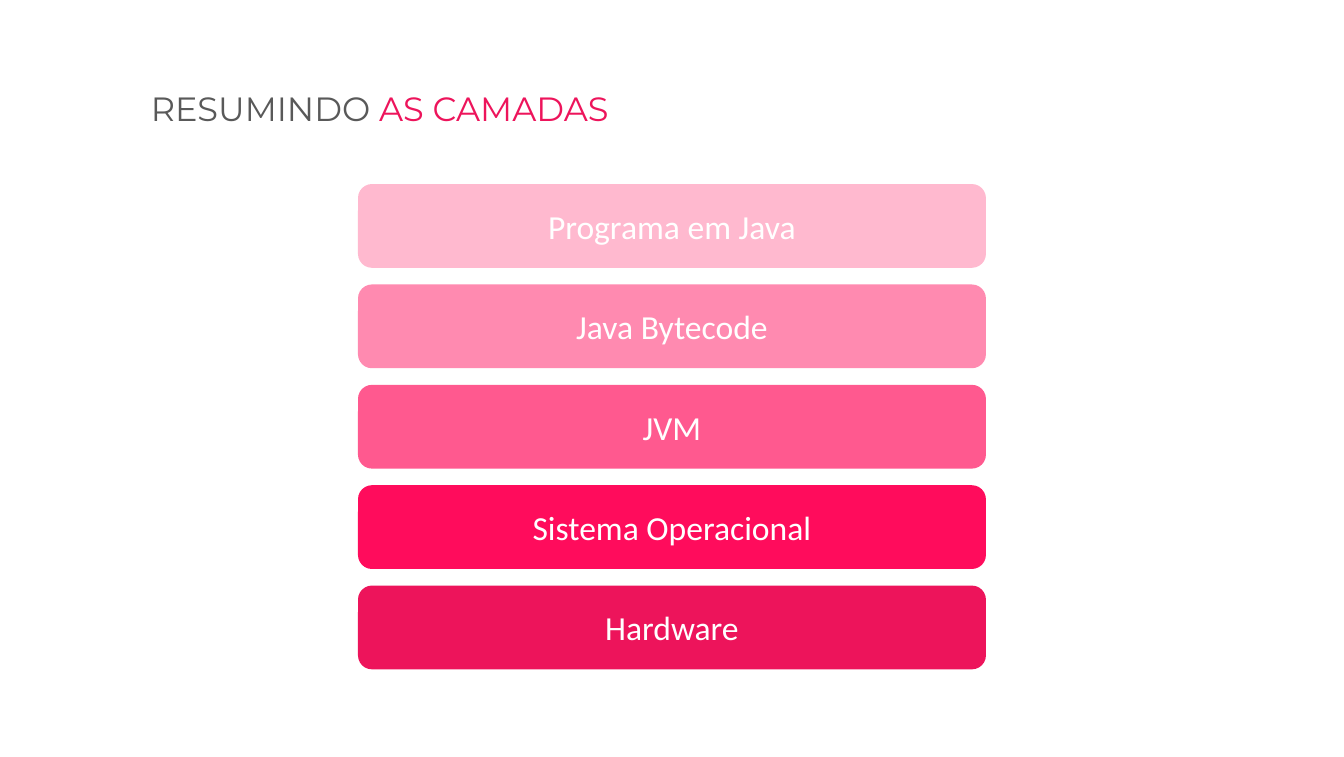
from dataclasses import dataclass

from pptx import Presentation
from pptx.dml.color import RGBColor
from pptx.enum import shapes, text
from pptx.util import Pt

WHITE, GRAY, PINK = "FFFFFF", "595959", "ED145B"
LEFT, TOP, WIDTH, HEIGHT, PITCH = 191.8, 98.6, 336.4, 44.85, 53.75


@dataclass
class Layer:
    label: str
    fill: str


LAYERS = [
    Layer("Programa em Java", "FFB9CF"),
    Layer("Java Bytecode", "FF8AB0"),
    Layer("JVM", "FF598F"),
    Layer("Sistema Operacional", "FF0C5C"),
    Layer("Hardware", PINK),
]


def rgb(color: str) -> RGBColor:
    return RGBColor.from_string(color)


def add_run(p, content: str, *, font: str, color: str, size: float = 18) -> None:
    r = p.add_run()
    r.text = content
    r.font.name = font
    r.font.size = Pt(size)
    r.font.color.rgb = rgb(color)


def add_title(s) -> None:
    tf = s.shapes.add_textbox(Pt(73.7), Pt(43.5), Pt(573), Pt(29)).text_frame
    tf.word_wrap = True
    tf.auto_size = text.MSO_AUTO_SIZE.SHAPE_TO_FIT_TEXT
    p = tf.paragraphs[0]
    add_run(p, "RESUMINDO ", font="Montserrat", color=GRAY)
    add_run(p, "AS CAMADAS", font="Montserrat", color=PINK)


def add_layer(s, layer: Layer, top: float) -> None:
    sp = s.shapes.add_shape(shapes.MSO_SHAPE.ROUNDED_RECTANGLE,
                            Pt(LEFT), Pt(top), Pt(WIDTH), Pt(HEIGHT))
    sp.shadow.inherit = False
    sp.fill.solid()
    sp.fill.fore_color.rgb = rgb(layer.fill)
    sp.line.fill.background()
    tf = sp.text_frame
    tf.vertical_anchor = text.MSO_ANCHOR.MIDDLE
    p = tf.paragraphs[0]
    p.alignment = text.PP_ALIGN.CENTER
    add_run(p, layer.label, font="Calibri", color=WHITE)


def main() -> None:
    prs = Presentation()
    prs.slide_width, prs.slide_height = Pt(720), Pt(405.36)
    s = prs.slides.add_slide(prs.slide_layouts[6])
    add_title(s)
    for i, layer in enumerate(LAYERS):
        add_layer(s, layer, TOP + i * PITCH)
    prs.save("out.pptx")


if __name__ == "__main__":
    main()
